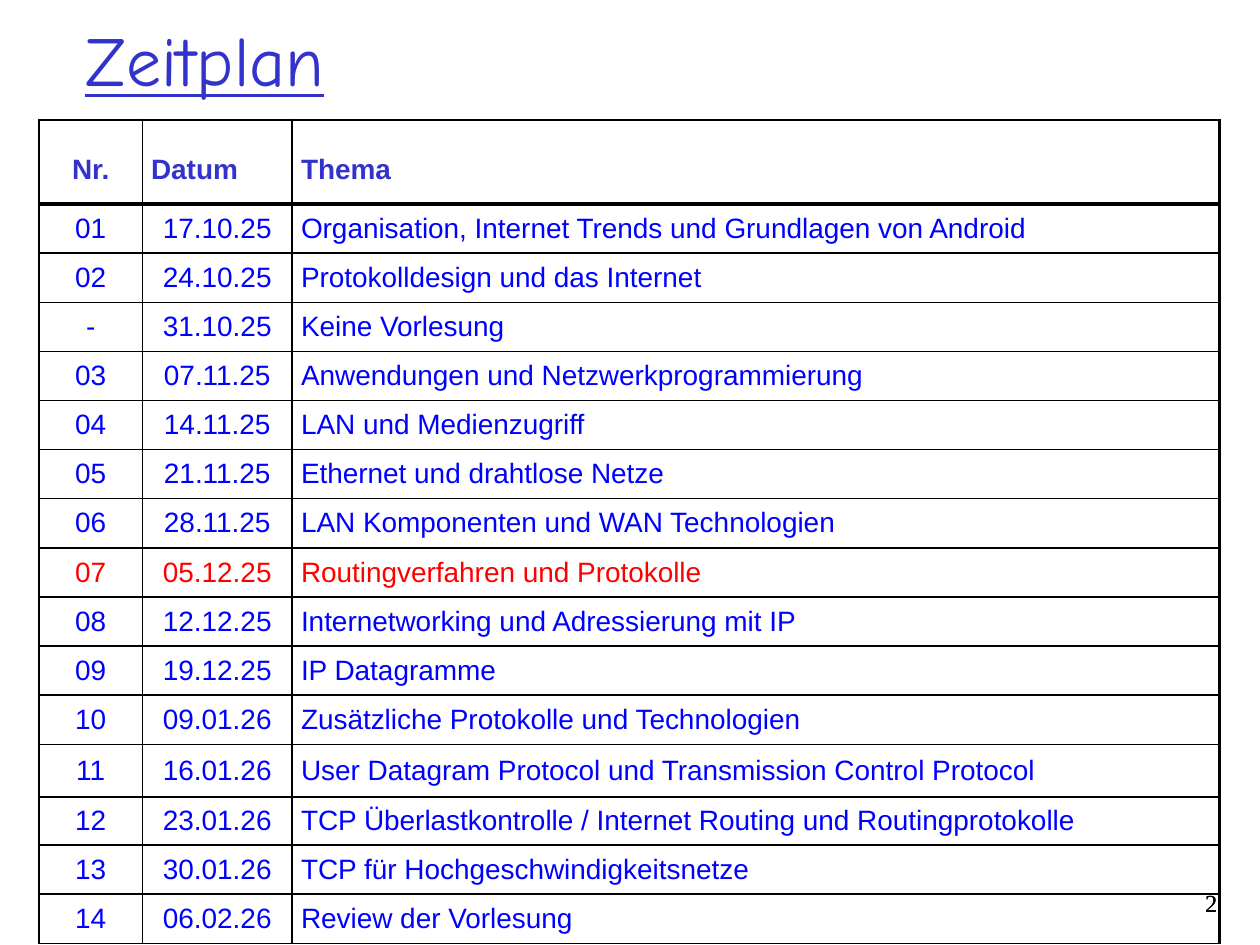
from dataclasses import dataclass
from typing import Any

from lxml.etree import SubElement
from pptx import Presentation
from pptx.dml.color import RGBColor
from pptx.enum.text import MSO_ANCHOR as Anchor, PP_ALIGN as Align
from pptx.oxml.ns import qn
from pptx.util import Inches, Pt

COLUMN_WIDTHS = [0.82, 1.19, 7.36]
ROW_HEIGHTS = [0.67] + [0.39] * 11 + [0.42, 0.38, 0.39, 0.39]
HEADER = ("Nr.", "Datum", "Thema")
CURRENT = "07"
LECTURES = [
    ("01", "17.10.25", "Organisation, Internet Trends und Grundlagen von Android"),
    ("02", "24.10.25", "Protokolldesign und das Internet"),
    ("-", "31.10.25", "Keine Vorlesung"),
    ("03", "07.11.25", "Anwendungen und Netzwerkprogrammierung"),
    ("04", "14.11.25", "LAN und Medienzugriff"),
    ("05", "21.11.25", "Ethernet und drahtlose Netze"),
    ("06", "28.11.25", "LAN Komponenten und WAN Technologien"),
    ("07", "05.12.25", "Routingverfahren und Protokolle"),
    ("08", "12.12.25", "Internetworking und Adressierung mit IP"),
    ("09", "19.12.25", "IP Datagramme"),
    ("10", "09.01.26", "Zusätzliche Protokolle und Technologien"),
    ("11", "16.01.26", "User Datagram Protocol und Transmission Control Protocol"),
    ("12", "23.01.26", "TCP Überlastkontrolle / Internet Routing und Routingprotokolle"),
    ("13", "30.01.26", "TCP für Hochgeschwindigkeitsnetze"),
    ("14", "06.02.26", "Review der Vorlesung"),
]


def color(value):
    return RGBColor.from_string(value)


@dataclass
class SlideBuilder:
    """Holds the style and the current slide and adds elements to it."""

    page: Any
    heading: str = "3333CC"
    body: str = "0000FF"
    highlight: str = "FF0000"
    ink: str = "000000"
    thin: float = 0.96
    medium: float = 1.47
    thick: float = 2.21

    def style_text(self, para, text, face, size, tint, align=Align.LEFT):
        para.text = text
        para.alignment = align
        para.font.name = face
        para.font.size = Pt(size)
        para.font.color.rgb = color(tint)
        return para

    def text(self, at, text, face, size, tint, align=Align.LEFT, anchor=Anchor.TOP):
        box = self.page.shapes.add_textbox(*map(Inches, at))
        frame = box.text_frame
        frame.word_wrap = True
        frame.vertical_anchor = anchor
        return self.style_text(frame.paragraphs[0], text, face, size, tint, align)

    def title(self, text):
        para = self.text((0.58, 0.14, 8.5, 0.65), text, "Comic Neue", 40,
                         self.heading, anchor=Anchor.MIDDLE)
        para.font.underline = True

    def page_number(self, number):
        self.text((9.08, 7, 0.68, 0.5), number, "Times New Roman", 14,
                  self.ink, Align.RIGHT)

    def borders(self, cell, row, column):
        widths = {
            "a:lnL": self.medium if column == 0 else self.thin,
            "a:lnR": self.medium if column == len(HEADER) - 1 else self.thin,
            "a:lnT": {0: self.medium, 1: self.thick}.get(row, self.thin),
            "a:lnB": self.thick if row == 0 else self.thin,
        }
        properties = cell._tc.get_or_add_tcPr()
        for tag, width in widths.items():
            line = SubElement(properties, qn(tag), w=str(Pt(width)))
            fill = SubElement(line, qn("a:solidFill"))
            SubElement(fill, qn("a:srgbClr"), val=self.ink)

    def cell(self, cell, text, row, column, tint):
        cell.margin_left = cell.margin_right = Inches(0.07)
        cell.margin_top = cell.margin_bottom = Inches(0.05)
        cell.vertical_anchor = Anchor.MIDDLE
        self.borders(cell, row, column)
        cell.fill.background()
        centred = column == 0 or (column == 1 and row > 0)
        para = self.style_text(cell.text_frame.paragraphs[0], text, "Arial", 16, tint,
                               Align.CENTER if centred else Align.LEFT)
        if row == 0:
            para.font.bold = True
            para.line_spacing = 1.5

    def schedule(self, left, top):
        rows = [HEADER, *LECTURES]
        size = (sum(COLUMN_WIDTHS), sum(ROW_HEIGHTS))
        table = self.page.shapes.add_table(
            len(rows), len(HEADER), *map(Inches, (left, top, *size))).table
        table.first_row = table.horz_banding = False
        for column, width in zip(table.columns, COLUMN_WIDTHS):
            column.width = Inches(width)
        for index, (values, height) in enumerate(zip(rows, ROW_HEIGHTS)):
            table.rows[index].height = Inches(height)
            tint = self.heading if index == 0 else self.body
            if values[0] == CURRENT:
                tint = self.highlight
            for column, text in enumerate(values):
                self.cell(table.cell(index, column), text, index, column, tint)


def main():
    deck = Presentation()
    deck.slide_width, deck.slide_height = Inches(10), Inches(7.5)
    slide = SlideBuilder(deck.slides.add_slide(deck.slide_layouts[6]))
    slide.title("Zeitplan")
    slide.page_number("2")
    slide.schedule(0.31, 0.95)
    slide.page_number("2")
    deck.save("out.pptx")


if __name__ == "__main__":
    main()
